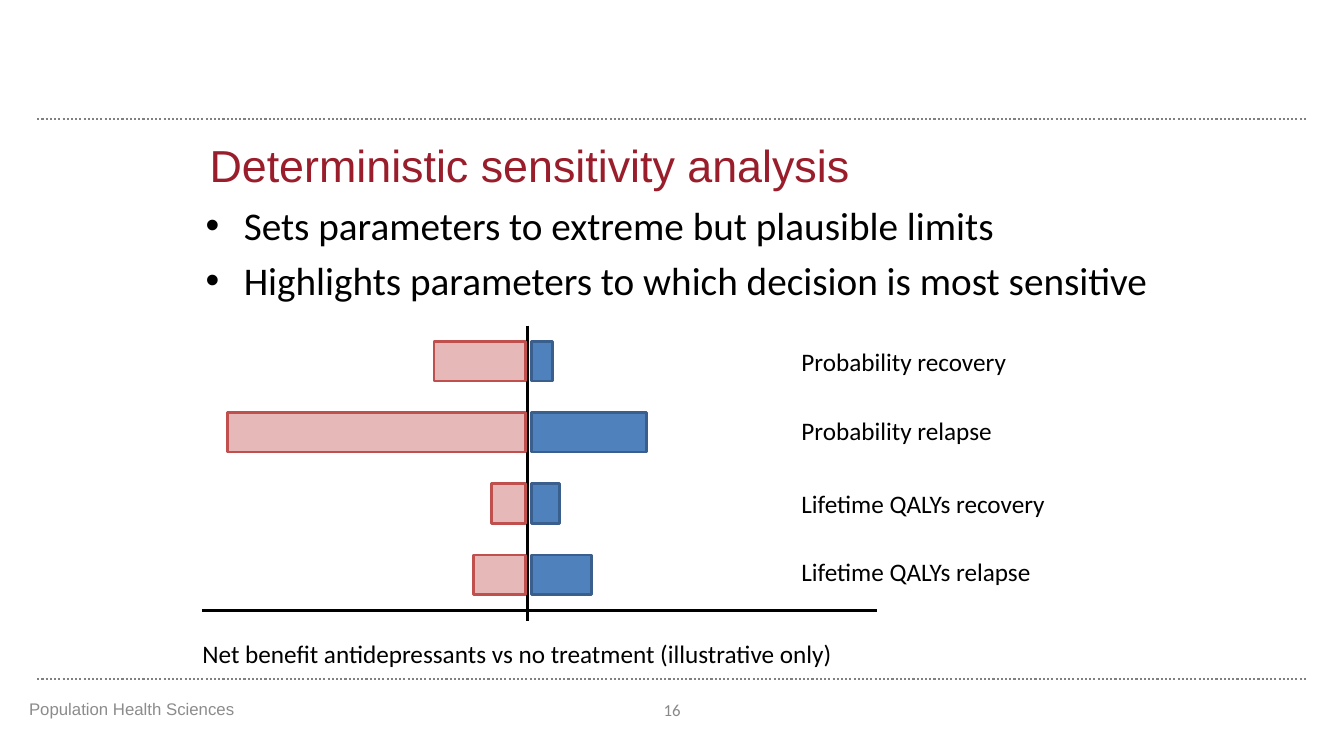
import pptx
import pptx.util
import pptx.dml.color
import pptx.enum.dml
import pptx.enum.shapes
import pptx.enum.text
import pptx.oxml.ns
import lxml.etree

Inches = pptx.util.Inches
Pt = pptx.util.Pt
RGBColor = pptx.dml.color.RGBColor
MSO_ANCHOR = pptx.enum.text.MSO_ANCHOR
PP_ALIGN = pptx.enum.text.PP_ALIGN

BLACK = RGBColor(0x00, 0x00, 0x00)
CRIMSON = RGBColor(0x9A, 0x1D, 0x2B)
RULE_GREY = RGBColor(0x80, 0x80, 0x80)
FOOTER_GREY = RGBColor(0x8C, 0x8C, 0x8C)
NUMBER_GREY = RGBColor(0x89, 0x89, 0x89)
BLUE_FILL = RGBColor(0x4F, 0x81, 0xBD)
BLUE_LINE = RGBColor(0x3A, 0x5F, 0x8C)
RED_FILL = RGBColor(0xE6, 0xB9, 0xB8)
RED_LINE = RGBColor(0xC0, 0x50, 0x4D)

BULLETS = [
    "Sets parameters to extreme but plausible limits",
    "Highlights parameters to which decision is most sensitive",
]
PARAMETERS = [
    ("Probability recovery", 0.91, 0.21, 0.16),
    ("Probability relapse", 2.96, 1.14, 0.84),
    ("Lifetime QALYs recovery", 0.34, 0.28, 1.57),
    ("Lifetime QALYs relapse", 0.52, 0.6, 2.24),
]
ROW_PITCH = 0.705
BAR_HEIGHT = 0.39


def add_text(slide, lines, left, top, width, height, size, color,
             font="Calibri", anchor=MSO_ANCHOR.TOP, align=PP_ALIGN.LEFT):
    box = slide.shapes.add_textbox(Inches(left), Inches(top), Inches(width), Inches(height))
    frame = box.text_frame
    frame.word_wrap = True
    frame.vertical_anchor = anchor
    frame.text = "\n".join(lines)
    for paragraph in frame.paragraphs:
        paragraph.alignment = align
        for run in paragraph.runs:
            run.font.name = font
            run.font.size = Pt(size)
            run.font.color.rgb = color
    return frame


def add_line(slide, start, end, color, width, dash=None):
    line = slide.shapes.add_connector(
        pptx.enum.shapes.MSO_CONNECTOR.STRAIGHT,
        Inches(start[0]), Inches(start[1]), Inches(end[0]), Inches(end[1]))
    line.line.color.rgb = color
    line.line.width = Pt(width)
    if dash is not None:
        line.line.dash_style = dash
    properties = line._element.spPr
    lxml.etree.SubElement(properties, pptx.oxml.ns.qn("a:effectLst"))


def add_bar(slide, left, top, width, fill, outline):
    bar = slide.shapes.add_shape(
        pptx.enum.shapes.MSO_SHAPE.RECTANGLE,
        Inches(left), Inches(top), Inches(width), Inches(BAR_HEIGHT))
    bar.shadow.inherit = False
    bar.fill.solid()
    bar.fill.fore_color.rgb = fill
    bar.line.color.rgb = outline
    bar.line.width = Pt(2)


def add_rules(slide, left, top, width, height):
    for y in (top, top + height):
        add_line(slide, (left, y), (left + width, y), RULE_GREY, 1.5,
                 pptx.enum.dml.MSO_LINE.ROUND_DOT)


def add_title(slide, left, top, width, height):
    add_text(slide, ["Deterministic sensitivity analysis"], left, top, width, height,
             32, CRIMSON, "Arial", MSO_ANCHOR.BOTTOM)


def add_bullets(slide, left, top, width, height):
    frame = add_text(slide, BULLETS, left, top, width, height, 28, BLACK)
    for paragraph in frame.paragraphs:
        paragraph.space_before = Pt(5.6)
        properties = paragraph._p.get_or_add_pPr()
        properties.set("marL", str(Inches(0.38)))
        properties.set("indent", str(-Inches(0.38)))
        font = lxml.etree.SubElement(properties, pptx.oxml.ns.qn("a:buFont"))
        font.set("typeface", "Arial")
        bullet = lxml.etree.SubElement(properties, pptx.oxml.ns.qn("a:buChar"))
        bullet.set("char", "•")


def add_tornado(slide, left, top, width, height):
    axis = left + 3.235
    base = top + height - 0.1
    add_line(slide, (left, base), (left + width, base), BLACK, 2.25)
    add_line(slide, (axis, top), (axis, top + height), BLACK, 2.25)
    for row, (label, low, high, label_offset) in enumerate(PARAMETERS):
        y = top + 0.16 + row * ROW_PITCH
        add_bar(slide, axis + 0.035, y, high, BLUE_FILL, BLUE_LINE)
        add_bar(slide, axis - 0.02 - low, y, low, RED_FILL, RED_LINE)
        add_text(slide, [label], left + 5.85, top + label_offset, 3.29, 0.4, 18, BLACK)
    add_text(slide, ["Net benefit antidepressants vs no treatment (illustrative only)"],
             left - 0.09, base + 0.22, 6.64, 0.4, 18, BLACK)


def add_footer(slide, left, top, width, height):
    add_text(slide, ["Population Health Sciences"], left, top, 5.64, height,
             12, FOOTER_GREY, "Arial", MSO_ANCHOR.MIDDLE)
    add_text(slide, ["16"], left + width - 1.05, top + 0.01, 1.05, height,
             12, NUMBER_GREY, "Calibri", MSO_ANCHOR.MIDDLE, PP_ALIGN.CENTER)


def main():
    presentation = pptx.Presentation()
    presentation.slide_width = Inches(13.33)
    presentation.slide_height = Inches(7.5)
    slide = presentation.slides.add_slide(presentation.slide_layouts[6])
    add_rules(slide, 0.37, 1.18, 12.6, 5.56)
    add_title(slide, 1.98, 0.7, 9.45, 1.25)
    add_bullets(slide, 1.94, 1.95, 9.59, 1.09)
    add_footer(slide, 0.19, 6.83, 7, 0.4)
    add_tornado(slide, 2, 3.23, 6.7, 2.93)
    presentation.save("out.pptx")


if __name__ == "__main__":
    main()
